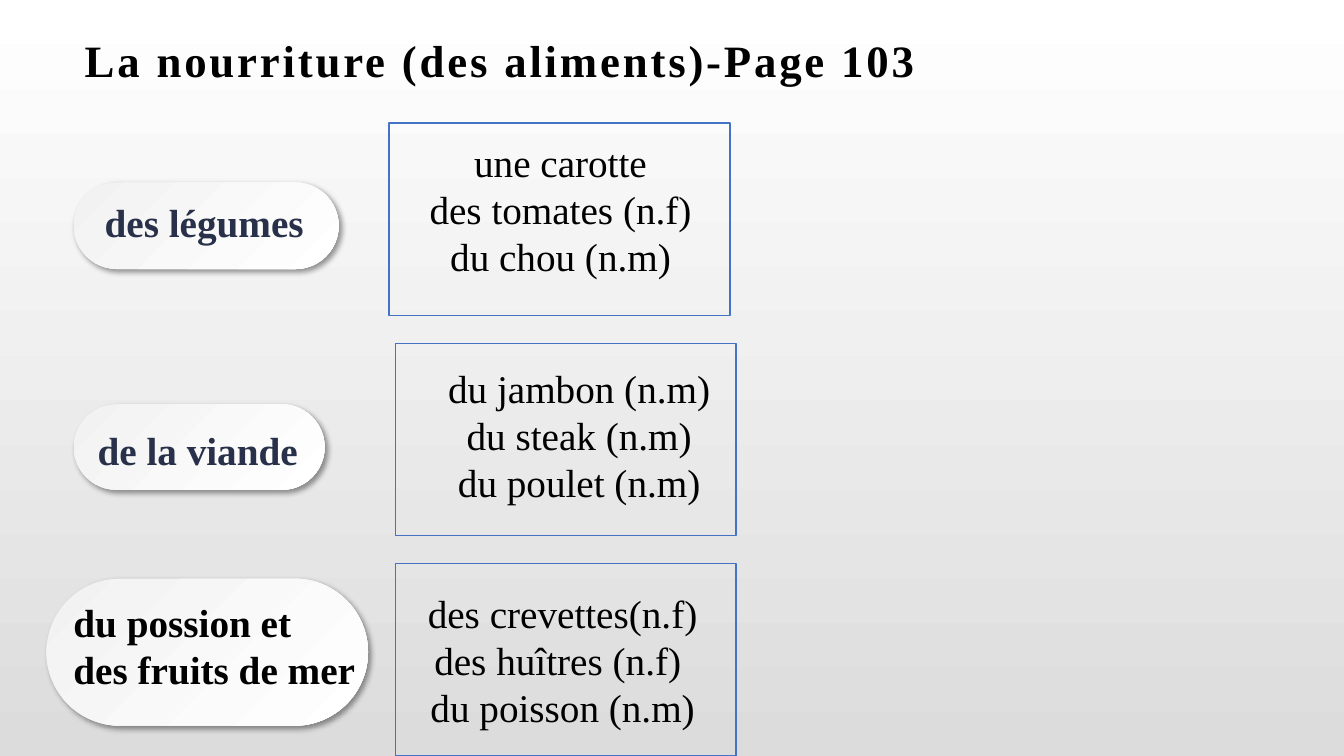
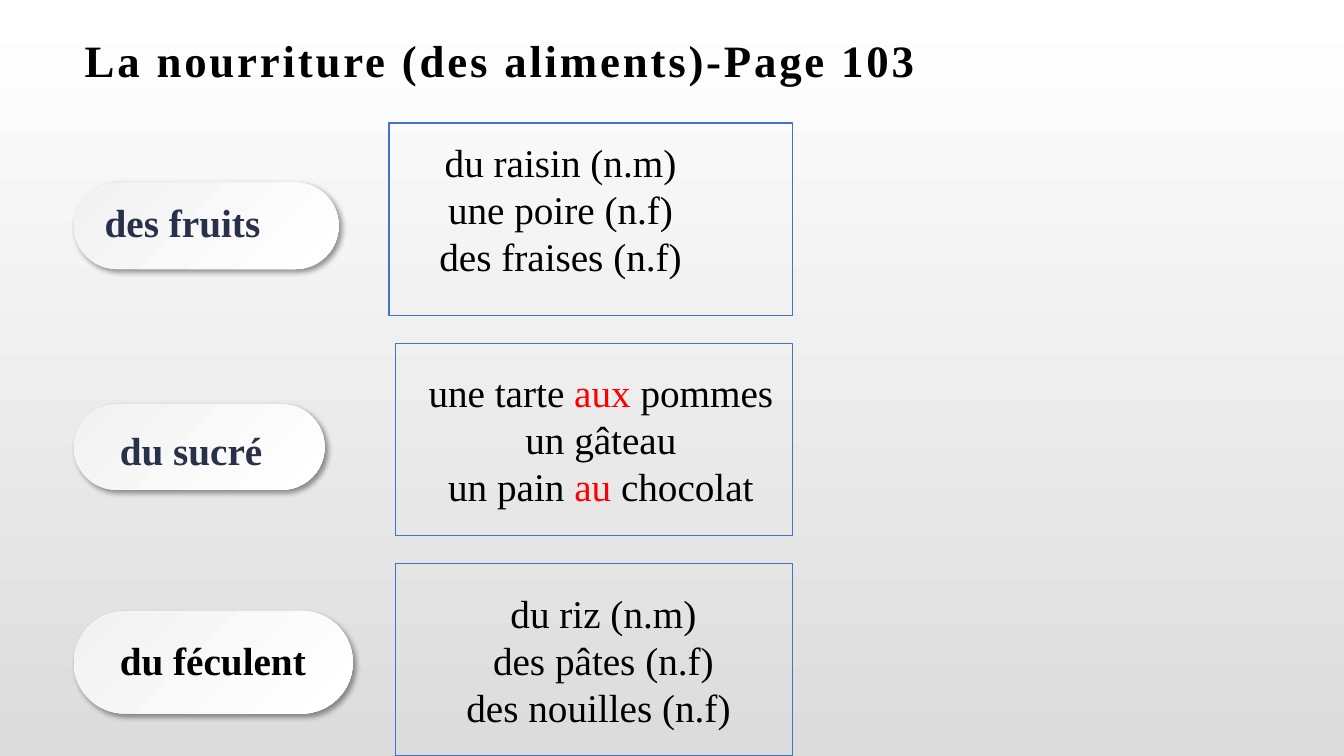
"""Build two French vocabulary slides about food groups."""
from dataclasses import dataclass

from lxml import etree
from pptx import Presentation
from pptx.dml.color import RGBColor as RGB
from pptx.enum.shapes import MSO_SHAPE as SHAPE
from pptx.enum.text import MSO_ANCHOR as ANCHOR, PP_ALIGN as ALIGN
from pptx.oxml.ns import qn
from pptx.util import Inches, Pt


@dataclass(frozen=True)
class Theme:
    font: str = "Times New Roman"
    title_size: int = 32
    body_size: int = 28
    title_spacing: int = 2
    ink: str = "000000"
    navy: str = "283149"
    accent: str = "FF0000"
    border: str = "4472C4"
    page: tuple = ("FFFFFF", "DCDCDC")
    pill: tuple = ("F2F2F2", "FFFFFF")


T = Theme()
TITLE = "La nourriture (des aliments)-Page 103"
TITLE_BOX = (0.73, 0.24, 11.87, 0.71)
FRAME_TOP, FRAME_STEP, FRAME_H = 1.22, 2.185, 1.91
FRAME_LEFTS = (3.86, 3.92, 3.92)
LABEL_COLORS = (T.navy, T.navy, T.ink)
PILL_1, PILL_2 = (0.73, 1.81, 2.63, 0.86), (0.73, 4.01, 2.49, 0.85)
WORDS_1 = (4.06, 1.32, 3, 1.51)

# Words between bars take the accent colour.
SLIDES = [
    {"rights": (7.24, 7.3, 7.3), "groups": [
        {"pill": PILL_1, "label_at": (0.94, 1.92, 2.35, 0.75),
         "label": ["des légumes"], "words_at": WORDS_1,
         "words": ["une carotte", "des tomates (n.f)", "du chou (n.m)"]},
        {"pill": PILL_2, "label_at": (0.87, 4.18, 2.35, 0.75),
         "label": ["de la viande"], "words_at": (4.06, 3.56, 3.37, 1.51),
         "words": ["du jambon (n.m)", "du steak (n.m)", "du poulet (n.m)"]},
        {"pill": (0.46, 5.74, 3.19, 1.46), "label_at": (0.63, 5.89, 3.29, 1.04),
         "label": ["du possion et", "des fruits de mer"],
         "words_at": (3.92, 5.8, 3.32, 1.51),
         "words": ["des crevettes(n.f)", "des huîtres (n.f) ", "du poisson (n.m)"]},
    ]},
    {"rights": (7.86, 7.86, 7.86), "groups": [
        {"pill": PILL_1, "label_at": (0.94, 1.92, 2.35, 0.75),
         "label": ["des fruits"], "words_at": WORDS_1,
         "words": ["du raisin (n.m)", "une poire (n.f)", "des fraises (n.f)"]},
        {"pill": PILL_2, "label_at": (1.09, 4.18, 2.35, 0.75),
         "label": ["du sucré"], "words_at": (3.37, 3.6, 5.18, 1.51),
         "words": ["une tarte| aux| pommes", "un gâteau", "un pain |au| chocolat"]},
        {"pill": (0.73, 6.06, 2.77, 1.02), "label_at": (1.09, 6.26, 3.29, 0.57),
         "label": ["du féculent"], "words_at": (3.86, 5.8, 4.25, 1.51),
         "words": ["du riz (n.m)", "des pâtes (n.f)", "des nouilles (n.f) "]},
    ]},
]


def inches(box):
    return [Inches(v) for v in box]


def set_gradient(fill, colors, angle):
    fill.gradient()
    fill.gradient_angle = 360 - angle
    for stop, color in zip(fill.gradient_stops, colors):
        stop.color.rgb = RGB.from_string(color)


def style(r, size, color, bold=False):
    r.font.name, r.font.size, r.font.bold = T.font, Pt(size), bold
    r.font.color.rgb = RGB.from_string(color)


def set_up_template(prs):
    set_gradient(prs.slide_master.background.fill, T.page, 90)
    layout = prs.slide_layouts[5]
    title = layout.placeholders[0]
    title.left, title.top, title.width, title.height = inches(TITLE_BOX)
    return layout


def add_title(s):
    tf = s.shapes.title.text_frame
    tf.text = TITLE
    tf.vertical_anchor = ANCHOR.MIDDLE
    tf.margin_left, tf.margin_top, tf.margin_right, tf.margin_bottom = inches(
        (0.11, 0.04, 0.08, 0.04))
    p = tf.paragraphs[0]
    p.alignment = ALIGN.LEFT
    r = p.runs[0]
    style(r, T.title_size, T.ink, True)
    r._r.get_or_add_rPr().set("spc", str(T.title_spacing * 100))


def add_frame(s, box):
    sp = s.shapes.add_shape(SHAPE.RECTANGLE, *inches(box))
    sp.shadow.inherit = False
    sp.fill.background()
    sp.line.color.rgb = RGB.from_string(T.border)
    sp.line.width = Pt(1)


def add_pill(s, box):
    sp = s.shapes.add_shape(SHAPE.ROUNDED_RECTANGLE, *inches(box))
    sp.adjustments[0] = 0.5
    set_gradient(sp.fill, T.pill, 45)
    sp.line.fill.background()
    sp.shadow.inherit = False
    effects = sp._element.spPr.find(qn("a:effectLst"))
    shadow = etree.SubElement(effects, qn("a:outerShdw"), blurRad=str(Pt(4)),
                              dist=str(Pt(3)), dir="2700000", algn="tl", rotWithShape="0")
    color = etree.SubElement(shadow, qn("a:srgbClr"), val=T.ink)
    etree.SubElement(color, qn("a:alpha"), val="40000")


def add_text(s, box, lines, color, bold=False, align=ALIGN.LEFT):
    tf = s.shapes.add_textbox(*inches(box)).text_frame
    tf.word_wrap = True
    for i, line in enumerate(lines):
        p = tf.add_paragraph() if i else tf.paragraphs[0]
        p.alignment = align
        for j, part in enumerate(line.split("|")):
            r = p.add_run()
            r.text = part
            style(r, T.body_size, T.accent if j % 2 else color, bold)


def main():
    prs = Presentation()
    prs.slide_width, prs.slide_height = Inches(13.33), Inches(7.5)
    layout = set_up_template(prs)
    for content in SLIDES:
        s = prs.slides.add_slide(layout)
        add_title(s)
        rows = zip(content["groups"], FRAME_LEFTS, content["rights"], LABEL_COLORS)
        for i, (group, left, right, color) in enumerate(rows):
            add_frame(s, (left, FRAME_TOP + i * FRAME_STEP, right - left, FRAME_H))
            add_pill(s, group["pill"])
            add_text(s, group["label_at"], group["label"], color, bold=True)
            add_text(s, group["words_at"], group["words"], T.ink, align=ALIGN.CENTER)
    prs.save("out.pptx")


if __name__ == "__main__":
    main()
